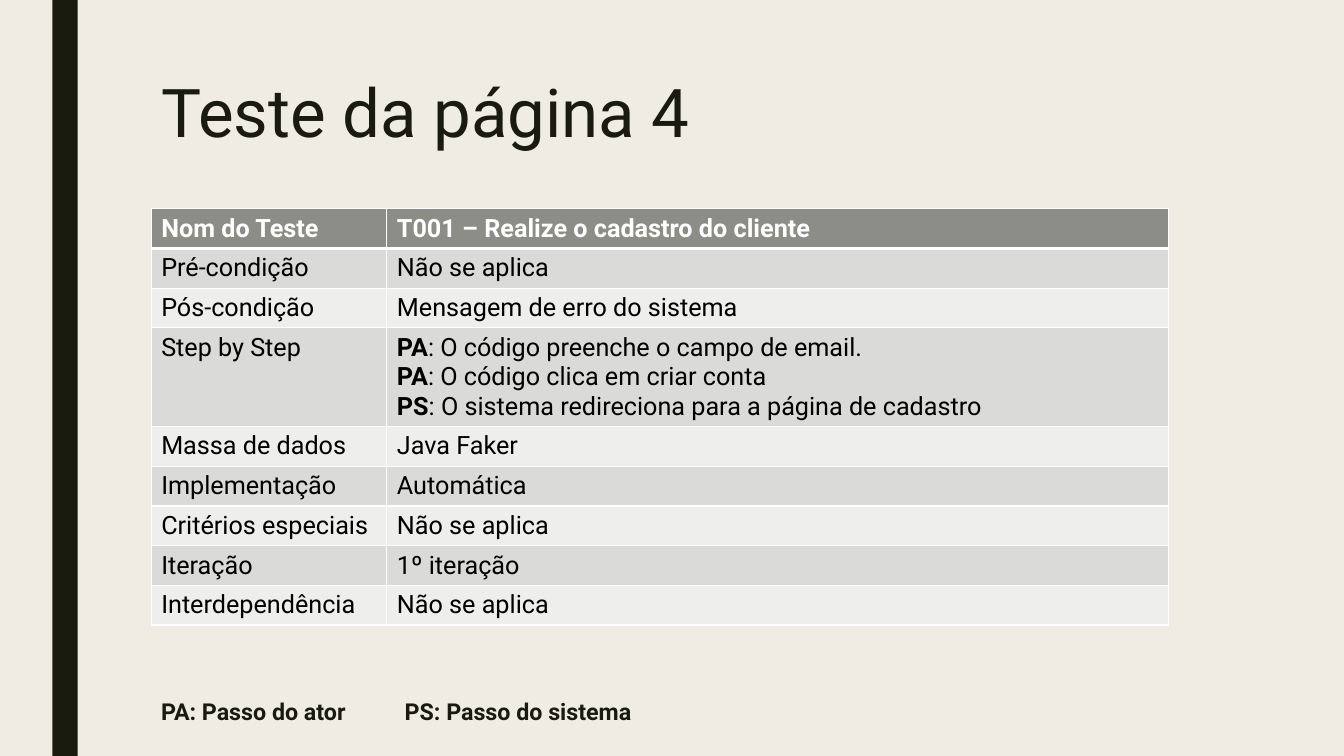
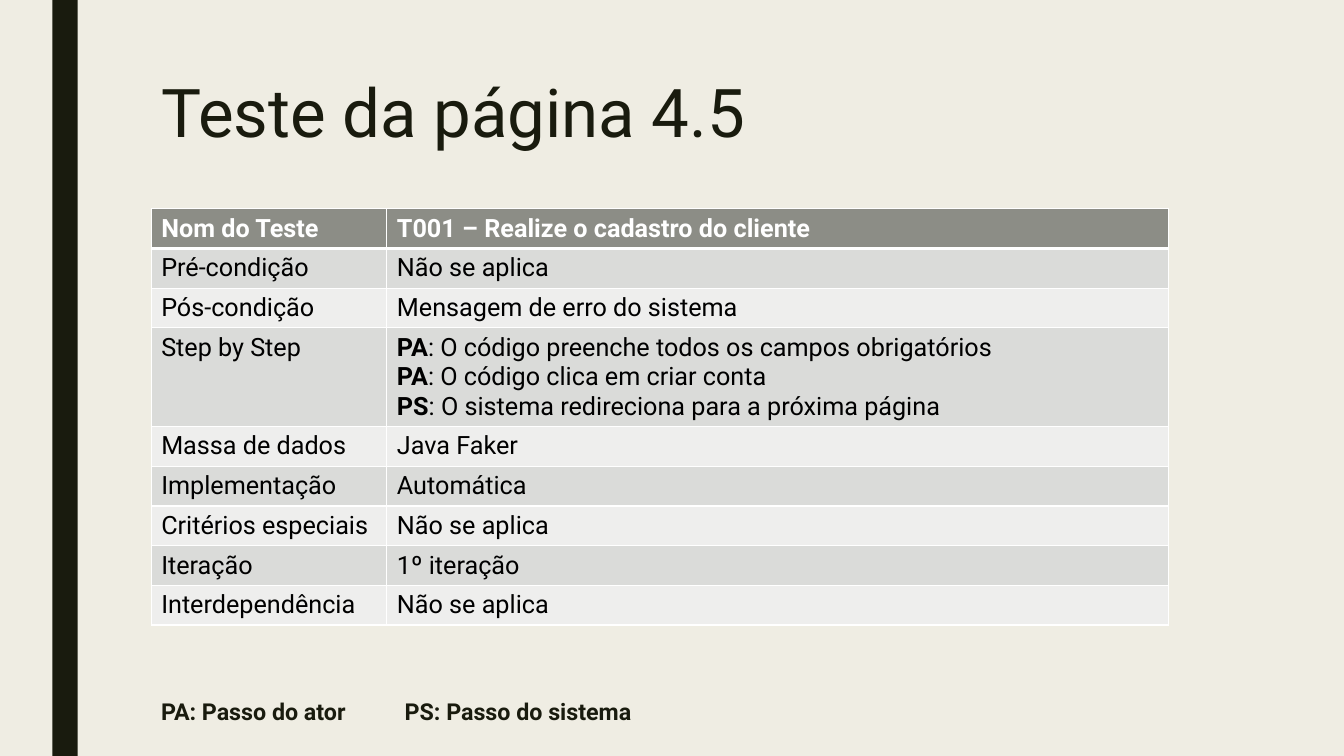
from dataclasses import dataclass

from lxml import etree
from pptx import Presentation
from pptx.dml.color import RGBColor
from pptx.enum.shapes import MSO_SHAPE
from pptx.enum.text import MSO_ANCHOR, MSO_AUTO_SIZE, PP_ALIGN
from pptx.oxml.ns import qn
from pptx.presentation import Presentation as Deck
from pptx.slide import Slide
from pptx.table import _Cell
from pptx.text.text import TextFrame
from pptx.util import Cm, Pt

RECTANGLE = MSO_SHAPE.RECTANGLE
TOP = MSO_ANCHOR.TOP
MIDDLE = MSO_ANCHOR.MIDDLE
LEFT = PP_ALIGN.LEFT
FIXED_SIZE = MSO_AUTO_SIZE.NONE

CREAM = RGBColor(0xEF, 0xED, 0xE3)
INK = RGBColor(0x19, 0x1B, 0x0E)
HEADER_GREY = RGBColor(0x8C, 0x8D, 0x86)
ROW_GREYS = (RGBColor(0xEE, 0xEE, 0xED), RGBColor(0xDA, 0xDB, 0xD9))
WHITE = RGBColor(0xFF, 0xFF, 0xFF)
BLACK = RGBColor(0, 0, 0)

FONT = "Roboto"
SLIDE_WIDTH, SLIDE_HEIGHT = Cm(33.87), Cm(19.05)
CONTENT_LEFT = Cm(3.81)
COLUMN_WIDTHS = (Cm(5.94), Cm(19.69))
ROW_HEIGHT = Cm(1)
EXTRA_LINE_HEIGHT = Cm(0.74)
LEGEND_TAB = Cm(6.14)
THIN, THICK = Pt(1), Pt(3)


@dataclass(frozen=True)
class Line:
    text: str
    lead: str = ""


@dataclass(frozen=True)
class Field:
    label: str
    value: tuple[Line, ...]


@dataclass(frozen=True)
class TestCase:
    title: str
    steps: tuple[Line, ...]


def field(label: str, value: str) -> Field:
    return Field(label, (Line(value),))


FIELDS_BEFORE_STEPS = (
    field("Nom do Teste", "T001 – Realize o cadastro do cliente"),
    field("Pré-condição", "Não se aplica"),
    field("Pós-condição", "Mensagem de erro do sistema"),
)
FIELDS_AFTER_STEPS = (
    field("Massa de dados", "Java Faker"),
    field("Implementação", "Automática"),
    field("Critérios especiais", "Não se aplica"),
    field("Iteração", "1º iteração"),
    field("Interdependência", "Não se aplica"),
)
CREATE_ACCOUNT = Line(":\u00a0O código clica em criar conta", "PA")
TEST_CASES = (
    TestCase("Teste da página 4", (
        Line(":\u00a0O código preenche o campo de email.", "PA"),
        CREATE_ACCOUNT,
        Line(": O sistema redireciona para a página de cadastro", "PS"),
    )),
    TestCase("Teste da página 4.5", (
        Line(":\u00a0O código preenche todos os campos\u00a0obrigatórios", "PA"),
        CREATE_ACCOUNT,
        Line(": O sistema redireciona para a próxima página", "PS"),
    )),
)
LEGEND = Line("PA: Passo do ator\tPS: Passo do sistema")


def write(frame: TextFrame, lines: tuple[Line, ...], *, size: float = 18,
          color: RGBColor = INK, bold: bool = False, spacing: float = 1.0,
          anchor: MSO_ANCHOR = TOP) -> None:
    frame.word_wrap = True
    frame.vertical_anchor = anchor
    for index, line in enumerate(lines):
        paragraph = frame.add_paragraph() if index else frame.paragraphs[0]
        paragraph.alignment = LEFT
        paragraph.line_spacing = spacing
        for text, is_bold in ((line.lead, True), (line.text, bold)):
            if text:
                run = paragraph.add_run()
                run.text = text
                run.font.name = FONT
                run.font.size = Pt(size)
                run.font.bold = is_bold
                run.font.color.rgb = color


def set_borders(cell: _Cell, top: int, bottom: int) -> None:
    properties = cell._tc.get_or_add_tcPr()
    for side, width in (("L", THIN), ("R", THIN), ("T", top), ("B", bottom)):
        border = etree.SubElement(properties, qn(f"a:ln{side}"), w=str(int(width)))
        fill = etree.SubElement(border, qn("a:solidFill"))
        etree.SubElement(fill, qn("a:srgbClr"), val=str(WHITE))


def set_up_master(deck: Deck, first_slide: Slide) -> None:
    master = deck.slide_master
    master.background.fill.solid()
    master.background.fill.fore_color.rgb = CREAM
    band = first_slide.shapes.add_shape(
        RECTANGLE, Cm(1.32), 0, Cm(0.64), SLIDE_HEIGHT)
    band.shadow.inherit = False
    band.fill.solid()
    band.fill.fore_color.rgb = INK
    band.line.fill.background()
    next_id = max(shape.shape_id for shape in master.shapes) + 1
    band.element.nvSpPr.cNvPr.set("id", str(next_id))
    master.shapes.element.insert(2, band.element)


def add_title(slide: Slide, title: str) -> None:
    heading = slide.shapes.title
    heading.left, heading.top = CONTENT_LEFT, Cm(1.9)
    heading.width, heading.height = Cm(26.67), Cm(4.11)
    heading.text_frame.auto_size = FIXED_SIZE
    write(heading.text_frame, (Line(title),), size=48, spacing=0.89)


def add_test_table(slide: Slide, steps: tuple[Line, ...]) -> None:
    fields = (*FIELDS_BEFORE_STEPS, Field("Step by Step", steps), *FIELDS_AFTER_STEPS)
    heights = [ROW_HEIGHT + EXTRA_LINE_HEIGHT * (len(entry.value) - 1)
               for entry in fields]
    table = slide.shapes.add_table(
        len(fields), len(COLUMN_WIDTHS), CONTENT_LEFT, Cm(5.26),
        sum(COLUMN_WIDTHS), sum(heights)).table
    for column, width in zip(table.columns, COLUMN_WIDTHS):
        column.width = width
    for index, (entry, height) in enumerate(zip(fields, heights)):
        table.rows[index].height = height
        is_header = index == 0
        for column, lines in enumerate(((Line(entry.label),), entry.value)):
            cell = table.cell(index, column)
            set_borders(cell, THICK if index == 1 else THIN,
                        THICK if is_header else THIN)
            cell.fill.solid()
            cell.fill.fore_color.rgb = HEADER_GREY if is_header else ROW_GREYS[index % 2]
            write(cell.text_frame, lines, bold=is_header,
                  color=WHITE if is_header else BLACK)


def add_legend(slide: Slide) -> None:
    legend = slide.shapes.add_textbox(CONTENT_LEFT, Cm(17.43), Cm(28.93), Cm(1))
    write(legend.text_frame, (LEGEND,), size=16.6, bold=True, anchor=MIDDLE)
    properties = legend.text_frame.paragraphs[0]._p.get_or_add_pPr()
    tabs = etree.SubElement(properties, qn("a:tabLst"))
    etree.SubElement(tabs, qn("a:tab"), pos=str(int(LEGEND_TAB)), algn="l")


def main() -> None:
    deck = Presentation()
    deck.slide_width, deck.slide_height = SLIDE_WIDTH, SLIDE_HEIGHT
    title_only = deck.slide_layouts.get_by_name("Title Only")
    slides = [deck.slides.add_slide(title_only) for _ in TEST_CASES]
    set_up_master(deck, slides[0])
    for slide, test_case in zip(slides, TEST_CASES):
        add_title(slide, test_case.title)
        add_test_table(slide, test_case.steps)
        add_legend(slide)
    deck.save("out.pptx")


main()
